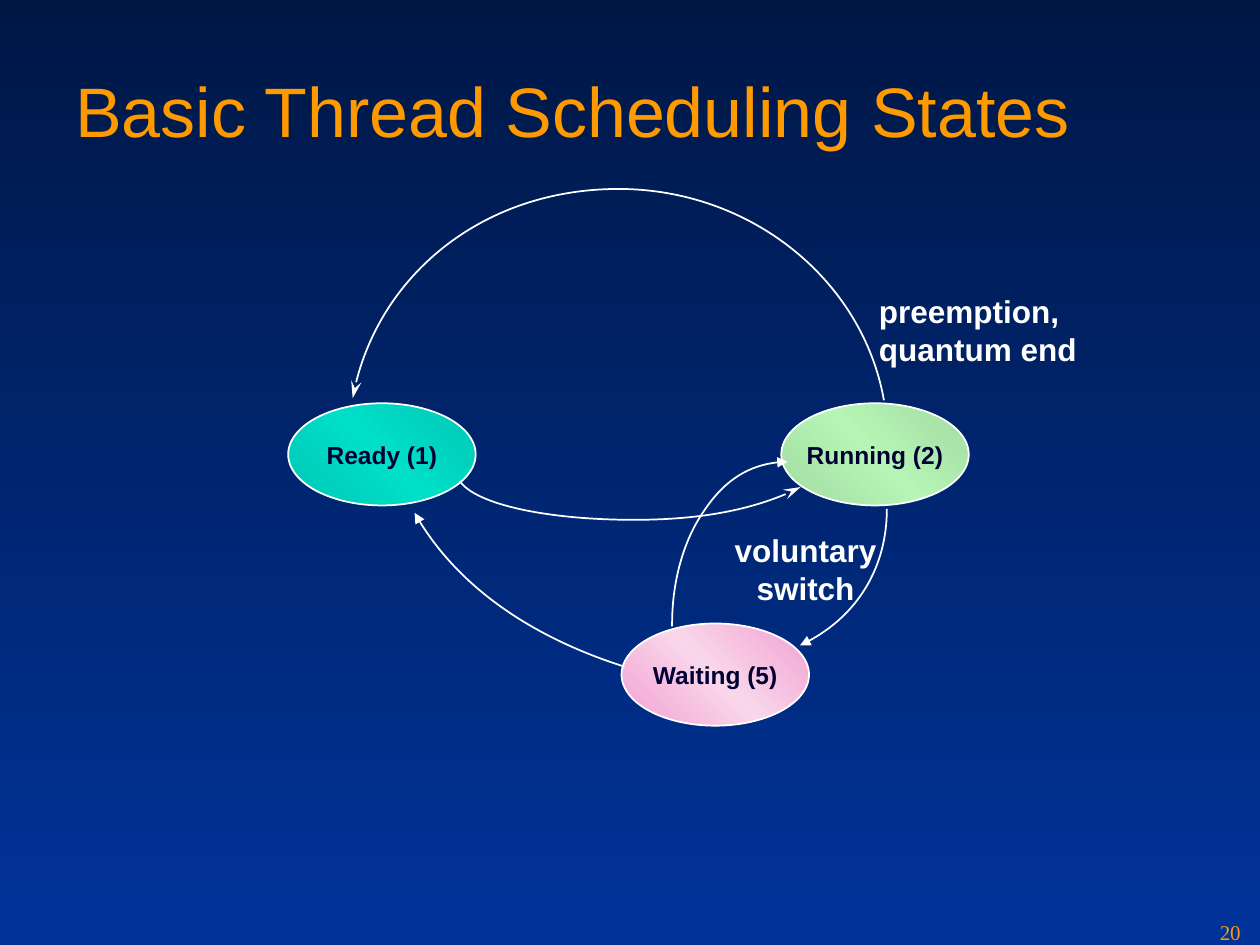
"""Build a slide showing the basic thread scheduling states."""
from copy import deepcopy

from lxml.etree import SubElement
from pptx import Presentation
from pptx.dml.color import RGBColor
from pptx.enum.shapes import MSO_SHAPE
from pptx.enum.text import MSO_ANCHOR, PP_ALIGN
from pptx.oxml.ns import qn
from pptx.util import Cm, Pt

WHITE, ORANGE, NAVY = "FFFFFF", "FE9900", "000033"
BACKGROUND = ("001746", "003399")
STATE_W, STATE_H = 3.78, 2.06
HEAD_LENGTH = {"triangle": "med", "stealth": "lg"}

STATES = [
    ("Ready (1)", 5.81, 8.13, "00C7B4", "00DFCA"),
    ("Running (2)", 15.75, 8.13, "A2DBA2", "B6F5B6"),
    ("Waiting (5)", 12.53, 12.57, "F39FD1", "F9D7EB"),
]

TRANSITIONS = [
    ("triangle", (7.9, 3.1, 17.45, 10.97),
     [(12.59, 13.44), (10.67, 12.83), (9.14, 11.73), (8.36, 10.34)]),
    ("triangle", (11.96, 7.26, 5.92, 6.02),
     [(17.88, 10.26), (17.88, 11.46), (17.2, 12.52), (16.13, 13.01)]),
    ("stealth", (7.06, 3.81, 10.82, 9.96),
     [(17.82, 8.07), (17.39, 5.64), (15.13, 3.81), (12.47, 3.81),
      (9.8, 3.81), (7.54, 5.62), (7.11, 8.03)]),
    ("stealth", (9.25, 8.66, 7.04, 1.8),
     [(9.27, 9.7), (9.6, 10.18), (11.07, 10.48), (12.78, 10.48),
      (14.1, 10.48), (15.37, 10.23), (16.14, 9.82)]),
    ("triangle", (13.54, 9.3, 4.65, 6.35),
     [(13.55, 12.63), (13.54, 11.76), (13.77, 10.9), (14.2, 10.29),
      (14.63, 9.65), (15.24, 9.31), (15.88, 9.31)]),
]

TITLE = ("Basic Thread Scheduling States", (1.27, 0.61, 22.86, 3.18))
LABELS = [
    ("voluntary\nswitch", (14.55, 10.58, 3.38, 1.78), PP_ALIGN.CENTER, False),
    ("preemption, \vquantum end", (17.47, 5.77, 5.08, 1.78), PP_ALIGN.LEFT, True),
]
PAGE = ("20", (24.34, 18.42, 1.06, 0.63))


def rgb(value):
    return RGBColor.from_string(value)


def set_gradient(fill, colors, angle):
    for i, (stop, color) in enumerate(zip(fill.gradient_stops, colors)):
        stop.color.rgb = rgb(color)
        stop.position = i / (len(colors) - 1)
    fill.gradient_angle = angle


def set_line(sp):
    sp.shadow.inherit = False
    sp.line.color.rgb = rgb(WHITE)
    sp.line.width = Pt(1)


def set_text(sp, text, size, color, font="Arial", bold=False,
             align=PP_ALIGN.LEFT, anchor=MSO_ANCHOR.TOP, wrap=True):
    tf = sp.text_frame
    tf.text = text
    tf.word_wrap = wrap
    tf.vertical_anchor = anchor
    for p in tf.paragraphs:
        p.alignment = align
        p.font.name = font
        p.font.size = Pt(size)
        p.font.bold = bold
        p.font.color.rgb = rgb(color)


def add_text(s, text, box, size, color, **style):
    set_text(s.shapes.add_textbox(*map(Cm, box)), text, size, color, **style)


def add_state(s, name, x, y, edge, middle):
    sp = s.shapes.add_shape(MSO_SHAPE.OVAL, *map(Cm, (x, y, STATE_W, STATE_H)))
    sp.fill.gradient()
    stops = sp._element.spPr.find(".//" + qn("a:gsLst"))
    stops.append(deepcopy(stops[-1]))
    set_gradient(sp.fill, (edge, middle, edge), 225)
    set_line(sp)
    set_text(sp, name, 14, NAVY, bold=True, align=PP_ALIGN.CENTER,
             anchor=MSO_ANCHOR.MIDDLE, wrap=False)


def draw_curve(sp, points, left, top):
    outline = sp._element.spPr.find(".//" + qn("a:path"))
    for child in list(outline):
        outline.remove(child)
    segments = [("a:moveTo", points[:1])]
    segments += [("a:cubicBezTo", points[i:i + 3]) for i in range(1, len(points), 3)]
    for tag, group in segments:
        segment = SubElement(outline, qn(tag))
        for x, y in group:
            SubElement(segment, qn("a:pt"), x=str(Cm(x - left)), y=str(Cm(y - top)))


def add_transition(s, head, box, points):
    left, top, width, height = box
    builder = s.shapes.build_freeform(Cm(left), Cm(top))
    builder.add_line_segments([(Cm(left + width), Cm(top + height))], close=False)
    sp = builder.convert_to_shape()
    draw_curve(sp, points, left, top)
    sp.fill.background()
    set_line(sp)
    SubElement(sp.line._get_or_add_ln(), qn("a:tailEnd"), type=head,
               w="med", len=HEAD_LENGTH[head])


def main():
    prs = Presentation()
    prs.slide_width, prs.slide_height = Cm(25.4), Cm(19.05)
    s = prs.slides.add_slide(prs.slide_layouts[6])
    s.background.fill.gradient()
    set_gradient(s.background.fill, BACKGROUND, 270)

    add_text(s, *TITLE, 40, ORANGE, anchor=MSO_ANCHOR.MIDDLE)
    for state in STATES:
        add_state(s, *state)
    for transition in TRANSITIONS:
        add_transition(s, *transition)
    for text, box, align, wrap in LABELS:
        add_text(s, text, box, 18, WHITE, bold=True, align=align, wrap=wrap)
    add_text(s, *PAGE, 12, ORANGE, font="Times New Roman")

    prs.save("out.pptx")


if __name__ == "__main__":
    main()
